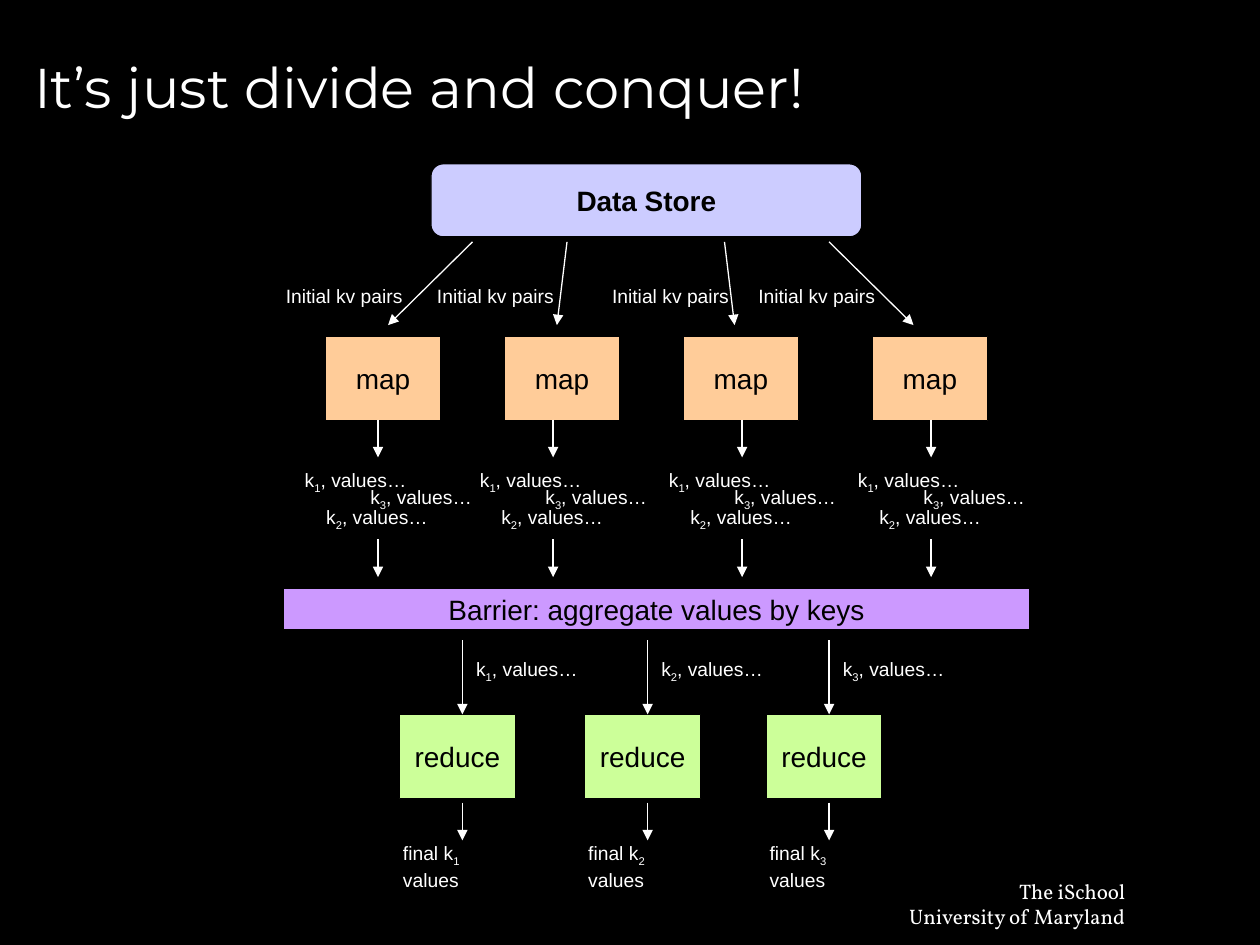
from lxml import etree
from pptx import Presentation
from pptx.dml.color import RGBColor
from pptx.enum.shapes import MSO_CONNECTOR, MSO_SHAPE
from pptx.enum.text import MSO_ANCHOR, MSO_AUTO_SIZE, PP_ALIGN
from pptx.oxml.ns import qn
from pptx.util import Inches, Pt

RECT = MSO_SHAPE.RECTANGLE
ROUND = MSO_SHAPE.ROUNDED_RECTANGLE
LINE = MSO_CONNECTOR.STRAIGHT
MIDDLE = MSO_ANCHOR.MIDDLE
GROW = MSO_AUTO_SIZE.SHAPE_TO_FIT_TEXT
LEFT, CENTER, RIGHT = PP_ALIGN.LEFT, PP_ALIGN.CENTER, PP_ALIGN.RIGHT
BLACK, WHITE = "000000", "FFFFFF"
ORANGE, PURPLE, GREEN, LILAC = "FFCC99", "CC99FF", "CCFF99", "CCCCFF"


def paint(target, color):
    target.solid()
    target.fore_color.rgb = RGBColor.from_string(color)


def style(para, size, color, name="Arial", align=LEFT, bold=False):
    para.alignment = align
    font = para.font
    font.size = Pt(size)
    font.name = name
    font.bold = bold
    paint(font.fill, color)


def add_box(slide, text, x, y, width, height, color, kind=RECT, bold=False):
    box = slide.shapes.add_shape(
        kind, Inches(x), Inches(y), Inches(width), Inches(height))
    box.shadow.inherit = False
    paint(box.fill, color)
    paint(box.line.fill, BLACK)
    box.line.width = Pt(0.75)
    frame = box.text_frame
    frame.vertical_anchor = MIDDLE
    frame.text = text
    style(frame.paragraphs[0], 16, BLACK, align=CENTER, bold=bold)


def add_frame(slide, x, y, width, height):
    box = slide.shapes.add_textbox(
        Inches(x), Inches(y), Inches(width), Inches(height))
    frame = box.text_frame
    frame.word_wrap = False
    frame.auto_size = GROW
    return frame


def add_label(slide, text, x, y, width, height=0.29):
    frame = add_frame(slide, x, y, width, height)
    frame.text = text
    style(frame.paragraphs[0], 11, WHITE)


def add_key(slide, start, key, end, x, y, width):
    para = add_frame(slide, x, y, width, 0.31).paragraphs[0]
    style(para, 11, WHITE)
    for text in (start, str(key), end):
        run = para.add_run()
        run.text = text
    para.runs[1]._r.get_or_add_rPr().set("baseline", "-25000")


def add_arrow(slide, x1, y1, x2, y2):
    arrow = slide.shapes.add_connector(
        LINE, Inches(x1), Inches(y1), Inches(x2), Inches(y2))
    paint(arrow.line.fill, WHITE)
    arrow.line.width = Pt(0.75)
    etree.SubElement(arrow.line._get_or_add_ln(), qn("a:tailEnd"), type="triangle")
    etree.SubElement(arrow._element.spPr, qn("a:effectLst"))


def add_map(slide, box_x, label_x, start_x, end_x, flow_x):
    add_box(slide, "map", box_x, 2.67, 0.92, 0.67, ORANGE)
    add_arrow(slide, start_x, 1.92, end_x, 2.58)
    add_label(slide, "Initial kv pairs", label_x, 2.21, 1.13)
    for key, shift, y in ((1, -0.68, 3.67), (2, -0.51, 3.96), (3, -0.16, 3.8)):
        add_key(slide, "k", key, ", values…", flow_x + shift, y, 1.01)
    for y in (3.33, 4.28):
        add_arrow(slide, flow_x, y, flow_x, y + 0.3)


def add_reduce(slide, key, x):
    add_box(slide, "reduce", x, 5.67, 0.92, 0.67, GREEN)
    add_key(slide, "k", key, ", values…", x + 0.51, 5.17, 1.01)
    add_key(slide, "final k", key, " values", x - 0.07, 6.63, 1.13)
    for top, end in ((5.08, 5.67), (6.37, 6.67)):
        add_arrow(slide, x + 0.5, top, x + 0.5, end)


def add_title(slide, text):
    title = slide.shapes.title
    title.left, title.top = Inches(0.17), Inches(0.12)
    title.width, title.height = Inches(9.5), Inches(1.12)
    frame = title.text_frame
    frame.vertical_anchor = MIDDLE
    frame.text = text
    style(frame.paragraphs[0], 32, WHITE, "Montserrat")


def add_footer(slide, text):
    frame = add_frame(slide, 7.09, 6.92, 1.94, 0.5)
    frame.text = text
    for para in frame.paragraphs:
        style(para, 12, WHITE, "Vollkorn", RIGHT)


def main():
    deck = Presentation()
    deck.slide_width, deck.slide_height = Inches(10), Inches(7.5)
    slide = deck.slides.add_slide(deck.slide_layouts[5])
    paint(slide.background.fill, BLACK)
    add_footer(slide, "The iSchool\nUniversity of Maryland")
    add_title(slide, "It’s just divide and conquer!")
    add_box(slide, "Data Store", 3.42, 1.3, 3.42, 0.58, LILAC, ROUND, True)
    maps = (
        (2.58, 2.17, 3.75, 3.08, 3),
        (4, 3.37, 4.5, 4.42, 4.39),
        (5.42, 4.76, 5.75, 5.83, 5.89),
        (6.92, 5.92, 6.58, 7.25, 7.39),
    )
    for places in maps:
        add_map(slide, *places)
    add_box(slide, "Barrier: aggregate values by keys", 2.25, 4.67, 5.92, 0.33, PURPLE)
    for key, x in enumerate((3.17, 4.64, 6.08), 1):
        add_reduce(slide, key, x)
    deck.save("out.pptx")


if __name__ == "__main__":
    main()
